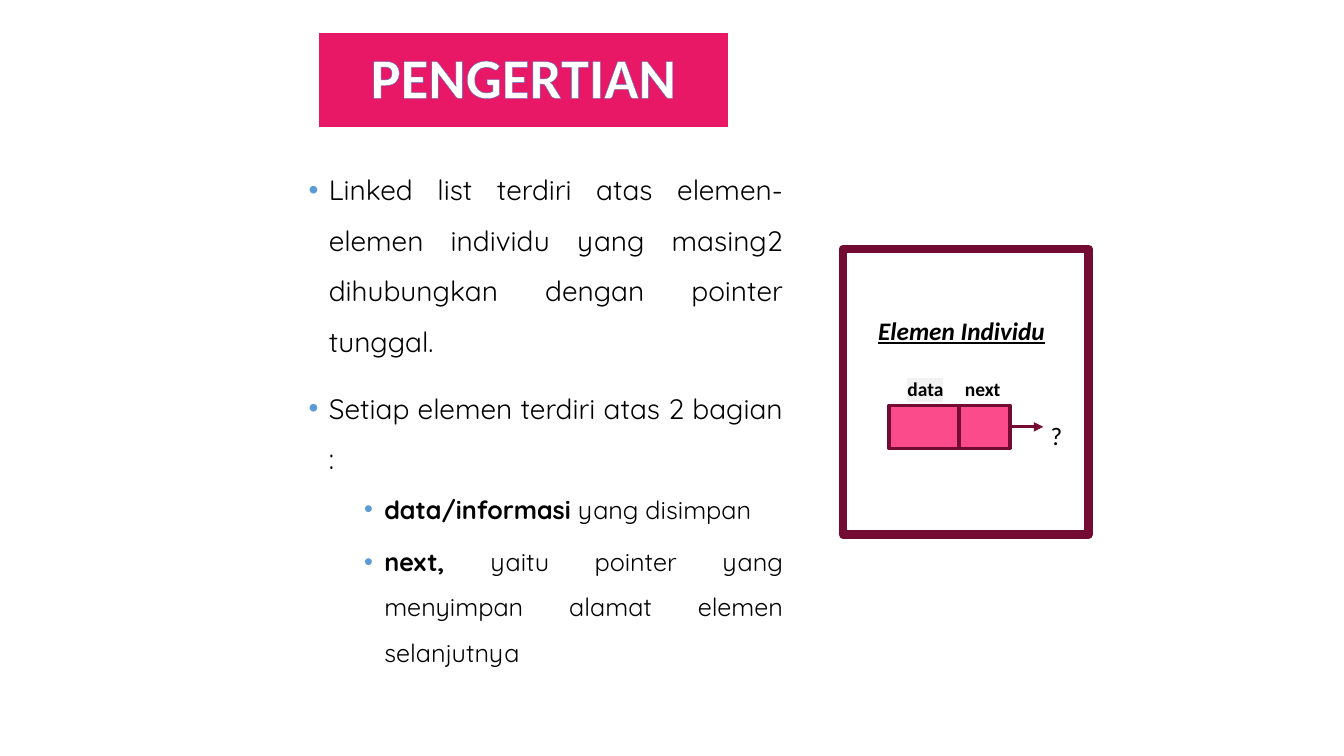
from lxml.etree import SubElement
from pptx import Presentation
from pptx.dml.color import RGBColor
from pptx.enum.shapes import MSO_CONNECTOR as CONNECTOR, MSO_SHAPE as SHAPE
from pptx.enum.text import MSO_ANCHOR as ANCHOR, PP_ALIGN as ALIGN
from pptx.oxml.ns import qn
from pptx.util import Pt

COLORS = {
    "title": "E81867", "cell": "FB4B8A", "border": "730B33",
    "bullet": "5B9BD5", "outline": "4472C4", "highlight": "F2F2F2",
    "white": "FFFFFF", "black": "000000",
}


def rgb(name):
    return RGBColor.from_string(COLORS[name])


def add_color(parent, tag, name):
    """Append a colour-holding DrawingML element."""
    holder = SubElement(parent, qn(tag))
    SubElement(holder, qn("a:srgbClr"), val=COLORS[name])


def add_box(slide, left, top, width, height, fill, line, line_width):
    box = slide.shapes.add_shape(SHAPE.RECTANGLE, Pt(left), Pt(top), Pt(width), Pt(height))
    box.shadow.inherit = False
    if fill:
        box.fill.solid()
        box.fill.fore_color.rgb = rgb(fill)
    else:
        box.fill.background()
    box.line.color.rgb = rgb(line)
    box.line.width = Pt(line_width)
    return box


def add_text_frame(slide, left, top, width, height):
    frame = slide.shapes.add_textbox(Pt(left), Pt(top), Pt(width), Pt(height)).text_frame
    frame.word_wrap = True
    frame.vertical_anchor = ANCHOR.MIDDLE
    frame.margin_left = frame.margin_right = Pt(5.2)
    frame.margin_top = frame.margin_bottom = Pt(2.6)
    return frame


def style_font(paragraph, size, family="Calibri", color="black", **flags):
    font = paragraph.font
    font.size, font.name = Pt(size), family
    font.color.rgb = rgb(color)
    for flag, value in flags.items():
        setattr(font, flag, value)


def space(paragraph, lines=None, before=0, after=0):
    paragraph.line_spacing = lines
    paragraph.space_before, paragraph.space_after = Pt(before), Pt(after)


def add_label(slide, text, left, top, width, height, size, align=ALIGN.LEFT,
              spacing=None, highlight=None, **flags):
    paragraph = add_text_frame(slide, left, top, width, height).paragraphs[0]
    paragraph.alignment = align
    space(paragraph, **(spacing or {}))
    style_font(paragraph, size, **flags)
    run = paragraph.add_run()
    run.text = text
    if highlight:
        add_color(run.font._element, "a:highlight", highlight)


def add_bullet(paragraph, runs, level, indent, size, before, after):
    paragraph.alignment = ALIGN.JUSTIFY
    paragraph.level = level
    space(paragraph, 1.5, before, after)
    # Bullet and hanging indent
    props = paragraph._p.get_or_add_pPr()
    props.set("marL", str(Pt(indent)))
    props.set("indent", str(-Pt(14.4)))
    add_color(props, "a:buClr", "bullet")
    SubElement(props, qn("a:buFont"), typeface="Arial")
    SubElement(props, qn("a:buChar"), char="•")
    style_font(paragraph, size, "Quicksand")
    for text, bold in runs:
        run = paragraph.add_run()
        run.text = text
        run.font.bold = bold


def add_title(slide):
    title = add_box(slide, 227.6, 23.4, 292.6, 67.4, "title", "white", 0.5)
    frame = title.text_frame
    frame.vertical_anchor = ANCHOR.MIDDLE
    paragraph = frame.paragraphs[0]
    paragraph.alignment = ALIGN.CENTER
    space(paragraph, 0.9)
    style_font(paragraph, 40.5, color="white", bold=True)
    run = paragraph.add_run()
    run.text = "PENGERTIAN"
    run.font.color.rgb = rgb("white")
    # Thin letter outline, which must come first in the run properties
    outline = SubElement(run.font._element, qn("a:ln"), w=str(Pt(0.8)))
    add_color(outline, "a:solidFill", "outline")
    run.font._element.insert(0, outline)


def add_definition(slide):
    main_point = dict(level=0, indent=14.4, size=20, before=12, after=0)
    sub_point = dict(level=1, indent=54, size=18, before=2.5, after=2.5)
    points = [
        ([("Linked list terdiri atas elemen-elemen individu yang masing2 "
           "dihubungkan dengan pointer tunggal.", False)], main_point),
        ([("Setiap elemen terdiri atas 2 bagian :", False)], main_point),
        ([("data/informasi ", True), ("yang disimpan", False)], sub_point),
        ([("next, ", True),
          ("yaitu pointer yang menyimpan alamat elemen selanjutnya", False)], sub_point),
    ]
    frame = add_text_frame(slide, 215.3, 100.1, 349.2, 388)
    for number, (runs, style) in enumerate(points):
        paragraph = frame.add_paragraph() if number else frame.paragraphs[0]
        add_bullet(paragraph, runs, **style)


def add_pointer(slide, start, end, y):
    pointer = slide.shapes.add_connector(CONNECTOR.STRAIGHT, Pt(start), Pt(y), Pt(end), Pt(y))
    pointer.line.color.rgb = rgb("border")
    pointer.line.width = Pt(2.25)
    SubElement(pointer.line._get_or_add_ln(), qn("a:tailEnd"), type="triangle")
    SubElement(pointer._element.spPr, qn("a:effectLst"))


def add_element_diagram(slide):
    # Frame with rounded line joins
    frame = add_box(slide, 602, 178, 175.7, 203.8, None, "border", 6)
    SubElement(frame.line._get_or_add_ln(), qn("a:round"))

    # Node with its two fields
    node_top, node_height = 289.4, 31
    for left, width in ((635, 50), (685, 36.5)):
        add_box(slide, left, node_top, width, node_height, "cell", "border", 2.25)
    add_pointer(slide, 721.5, 745.2, node_top + node_height / 2)

    # Heading, pointer target and field names
    loose = dict(lines=1.5, before=12)
    add_label(slide, "Elemen Individu", 622.1, 208.1, 154.8, 44.6, 18, ALIGN.JUSTIFY,
              loose, bold=True, italic=True, underline=True)
    add_label(slide, "?", 745.2, 288, 13.7, 34.6, 18, ALIGN.JUSTIFY, loose)
    for name, left, highlight in (("data", 643, "highlight"), ("next", 684, None)):
        add_label(slide, name, left, 265.7, 37.4, 23.8, 13.9,
                  spacing=dict(after=10), highlight=highlight, bold=True)


def main():
    deck = Presentation()
    deck.slide_width, deck.slide_height = Pt(960), Pt(540)
    slide = deck.slides.add_slide(deck.slide_layouts[6])
    add_title(slide)
    add_definition(slide)
    add_element_diagram(slide)
    deck.save("out.pptx")


if __name__ == "__main__":
    main()
